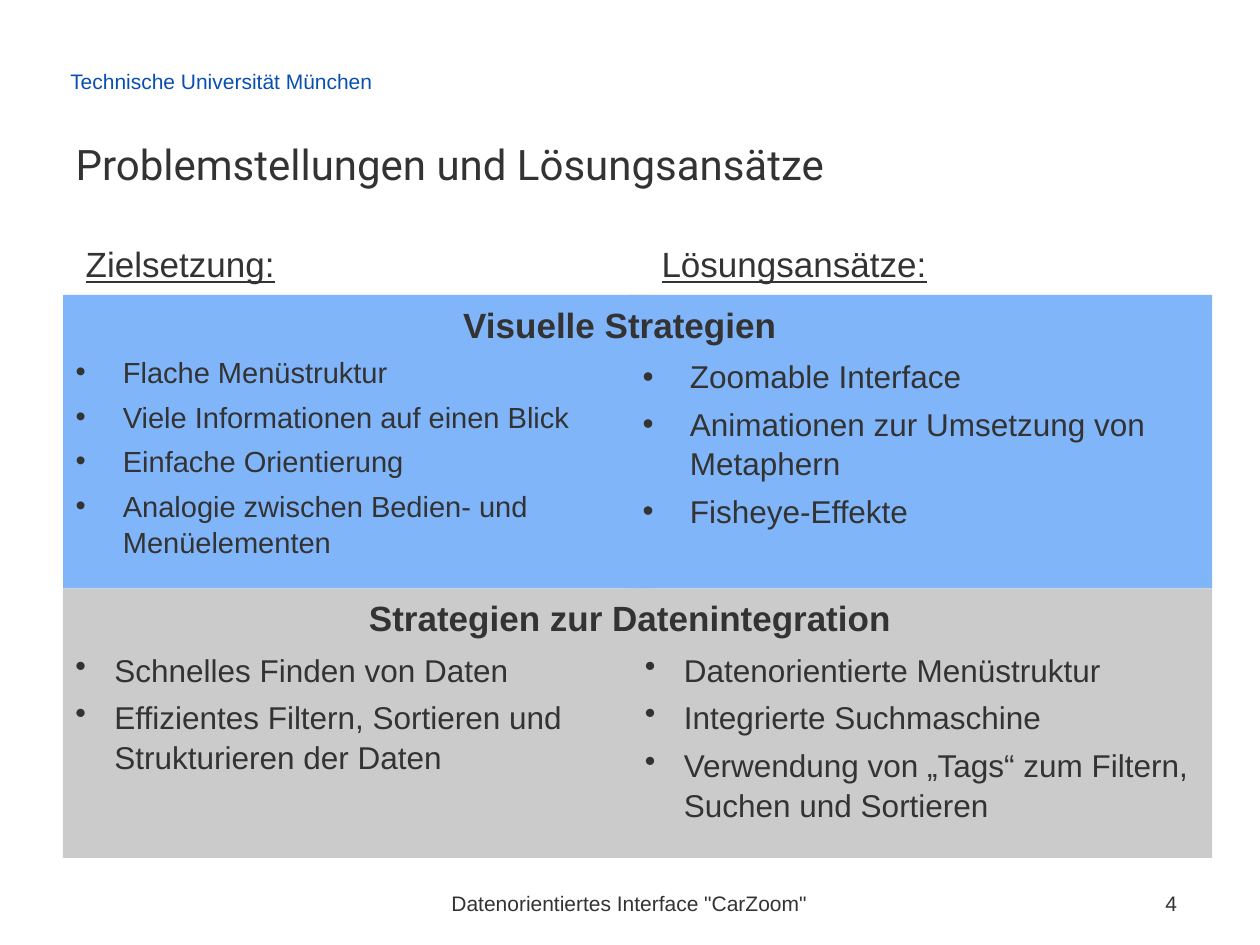
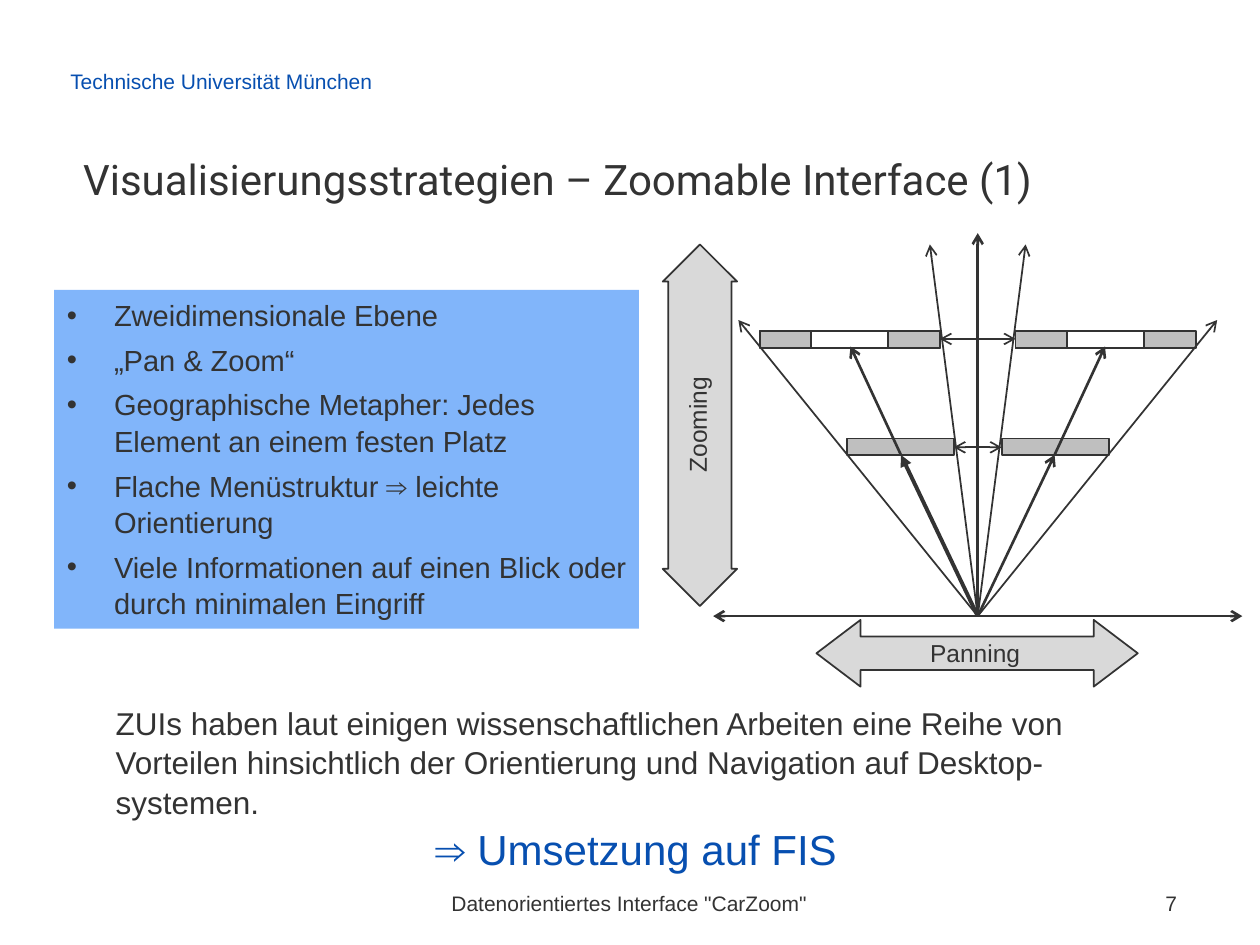
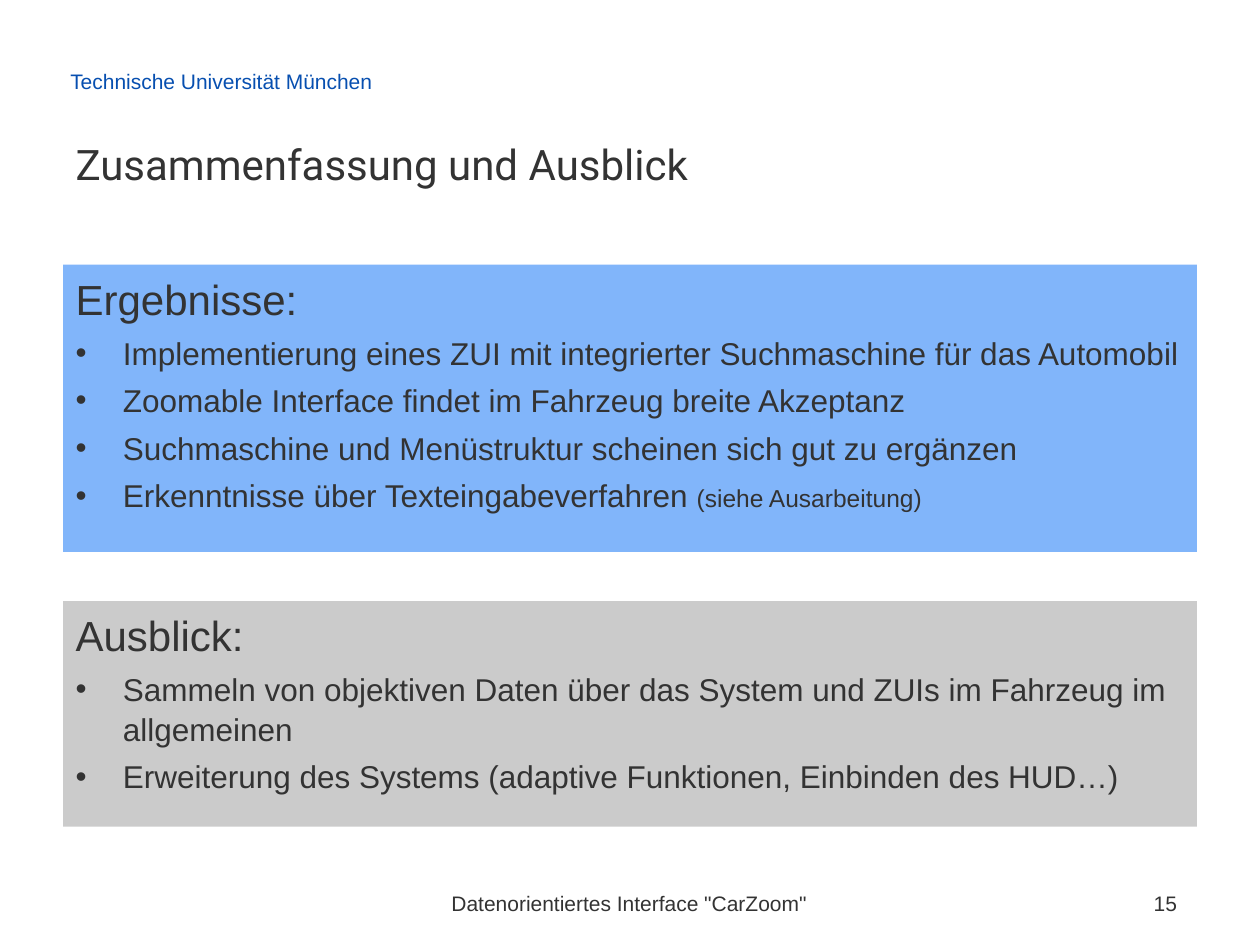
from lxml import etree
from pptx import Presentation
from pptx.dml.color import RGBColor
from pptx.enum.shapes import MSO_CONNECTOR, MSO_SHAPE
from pptx.enum.text import MSO_ANCHOR, MSO_AUTO_SIZE, PP_ALIGN
from pptx.oxml.ns import qn
from pptx.util import Inches, Pt

LEFT, CENTER, RIGHT = PP_ALIGN.LEFT, PP_ALIGN.CENTER, PP_ALIGN.RIGHT
TOP, MIDDLE, BOTTOM = MSO_ANCHOR.TOP, MSO_ANCHOR.MIDDLE, MSO_ANCHOR.BOTTOM
RECT, STRAIGHT = MSO_SHAPE.RECTANGLE, MSO_CONNECTOR.STRAIGHT
UP_DOWN, LEFT_RIGHT = MSO_SHAPE.UP_DOWN_ARROW, MSO_SHAPE.LEFT_RIGHT_ARROW
NO_FIT = MSO_AUTO_SIZE.NONE

INK, ACCENT = "333333", "074FB0"
BLUE, GREY, BAR, ARROW = "81B5FA", "CBCBCB", "BFBFBF", "D9D9D9"
rgb = RGBColor.from_string

prs = Presentation()
prs.slide_width, prs.slide_height = Inches(10), Inches(7.5)
U = prs.slide_width // 100  # the grid has 100 columns and 75 rows


def grid(*cells):
    return [round(c * U) for c in cells]


def write(sp, *paras, at, anchor=TOP, fill=None, wrap=True, inset=0.5, **fmt):
    """Place sp and fill it; a paragraph is a text, a list of (text, size) runs,
    or a (paragraph, format) pair."""
    sp.left, sp.top, sp.width, sp.height = grid(*at)
    if fill:
        sp.fill.solid()
        sp.fill.fore_color.rgb = rgb(fill)
    tf = sp.text_frame
    tf.auto_size, tf.word_wrap, tf.vertical_anchor = NO_FIT, wrap, anchor
    tf.margin_top = round(inset * U)
    for i, para in enumerate(paras):
        f = dict(size=18, color=INK, font="Arial", bold=False, underline=False,
                 align=LEFT, hang=0, before=0, spacing=1.05) | fmt
        if isinstance(para, tuple):
            para, f = para[0], f | para[1]
        p = tf.add_paragraph() if i else tf.paragraphs[0]
        p.alignment, p.line_spacing = f["align"], f["spacing"]
        p.space_before = Pt(f["before"] if i else 0)
        pPr = p._p.get_or_add_pPr()
        pPr.set("marL", str(round(f["hang"] * U)))
        pPr.set("indent", str(round(-f["hang"] * U)))
        if f["hang"]:
            etree.SubElement(pPr, qn("a:buChar"), char="•")
        else:
            etree.SubElement(pPr, qn("a:buNone"))
        for text, size in [(para, f["size"])] if isinstance(para, str) else para:
            r = p.add_run()
            r.text = text
            r.font.size, r.font.name = Pt(size), f["font"]
            r.font.bold, r.font.underline = f["bold"], f["underline"]
            r.font.color.rgb = rgb(f["color"])


# Slides with the shared title, header and footer
pages = [
    (4, "Problemstellungen und Lösungsansätze", (5, 3, 90, 12.5), "4"),
    (1, "Visualisierungsstrategien – Zoomable Interface (1)", (5.6, 10, 88.9, 6.7), "7"),
    (3, "Zusammenfassung und Ausblick", (5, 3, 90, 12.5), "15"),
]
for layout, title, at, number in pages:
    s = prs.slides.add_slide(prs.slide_layouts[layout])
    write(s.shapes.title, title, at=at, anchor=BOTTOM, size=24, font="Roboto", spacing=1)
    for text, at, fmt in [
        ("Technische Universität München", (4.6, 2.9, 26.7, 5), dict(anchor=BOTTOM, color=ACCENT)),
        ('Datenorientiertes Interface "CarZoom"', (28.3, 70, 43.3, 3.3), dict(anchor=MIDDLE, align=CENTER)),
        (number, (73.6, 70, 20.8, 3.3), dict(anchor=MIDDLE, align=RIGHT)),
    ]:
        write(s.shapes.add_textbox(0, 0, U, U), text, at=at, size=12, **fmt)
strategies, zooming, summary = prs.slides
LIST = dict(hang=3.75, before=4.5)

# Strategies: column headings
s = strategies
for idx, text, x in [(1, "Zielsetzung:", 5.8), (3, "Lösungsansätze:", 51.5)]:
    write(s.placeholders[idx], text, at=(x, 16.1, 44.2, 7), anchor=BOTTOM, size=20, underline=True)

# Strategies: two rows of lists with a heading across each
write(s.placeholders[2], "Flache Menüstruktur", "Viele Informationen auf einen Blick",
      "Einfache Orientierung", "Analogie zwischen Bedien- und Menüelementen",
      at=(5, 23.4, 46.5, 23.3), fill=BLUE, inset=4.6, size=16.6, **LIST)
write(s.placeholders[4], "Zoomable Interface", "Animationen zur Umsetzung von Metaphern",
      "Fisheye-Effekte", at=(50, 23.4, 46.2, 23.3), fill=BLUE, inset=4.8, **LIST)
data_lists = [
    (50.2, 46, ["Datenorientierte Menüstruktur", "Integrierte Suchmaschine",
                "Verwendung von „Tags“ zum Filtern, Suchen und Sortieren"]),
    (5, 45.6, ["Schnelles Finden von Daten",
               "Effizientes Filtern, Sortieren und Strukturieren der Daten"]),
]
for x, w, items in data_lists:
    write(s.shapes.add_textbox(0, 0, U, U), *items, at=(x, 46.7, w, 21.4),
          fill=GREY, inset=4.8, hang=3.1, before=4.5)
write(s.shapes.add_textbox(0, 0, U, U), "Visuelle Strategien", at=(35.7, 23.4, 26.9, 4.4),
      wrap=False, size=20, bold=True, align=RIGHT)
write(s.shapes.add_textbox(0, 0, U, U), "Strategien zur Datenintegration",
      at=(28.3, 46.7, 45.3, 4.4), size=20, bold=True)

# Zooming: list and conclusion
s = zooming
write(s.placeholders[1], "Zweidimensionale Ebene", "„Pan & Zoom“",
      "Geographische Metapher: Jedes Element an einem festen Platz",
      "Flache Menüstruktur ⇒ leichte Orientierung",
      "Viele Informationen auf einen Blick oder durch minimalen Eingriff",
      at=(4.3, 23, 46.4, 26.9), fill=BLUE, size=16.6, **LIST)
write(s.shapes.add_textbox(0, 0, U, U),
      "ZUIs haben laut einigen wissenschaftlichen Arbeiten eine Reihe von Vorteilen "
      "hinsichtlich der Orientierung und Navigation auf Desktop-systemen.",
      ("⇒ Umsetzung auf FIS", dict(size=24, color=ACCENT, align=CENTER)),
      at=(8.2, 55.2, 84.6, 14))

# Zooming: diagram, mirrored about the vertical axis
AXIS, BASE = 77.6, 48.9
UPPER, LOWER, BAR_H = 26.3, 34.8, 1.3
shapes = [
    (UP_DOWN, (52.6, 19.4, 5.9, 28.7), ARROW, 0.85),
    (LEFT_RIGHT, (64.8, 49.2, 25.5, 5.3), ARROW, 0.66),
]
lines = [
    ((AXIS, BASE), (AXIS, 18.5), 1.5, None, "arrow"),
    ((56.6, BASE), (98.6, BASE), 1.5, "arrow", "arrow"),
    ((AXIS - 3, UPPER + 0.6), (AXIS + 3, UPPER + 0.6), 1, "arrow", "arrow"),
    ((AXIS - 1.9, LOWER + 0.7), (AXIS + 1.9, LOWER + 0.7), 1, "arrow", "arrow"),
]
for side in (-1, 1):
    for start, width, y, fill in [(1.9, 8.5, LOWER, BAR), (3, 14.3, UPPER, None),
                                  (3, 4.1, UPPER, BAR), (13.2, 4.1, UPPER, BAR)]:
        x = AXIS + side * (start + width / 2) - width / 2
        shapes.append((RECT, (x, y, width, BAR_H), fill, None))
    near = (AXIS + side * 6.1, 36.1)
    lines += [
        ((AXIS, BASE), (AXIS + side * 19, 25.4), 1, None, "arrow"),
        ((AXIS, BASE), (AXIS + side * 3.8, 19.4), 1, None, "arrow"),
        (near, (AXIS + side * 10.1, 27.5), 1.5, None, "arrow"),
        ((AXIS, BASE), near, *((2.25, None, "triangle") if side < 0 else (1.5, None, "arrow"))),
    ]
for kind, at, fill, head in shapes:
    sp = s.shapes.add_shape(kind, *grid(*at))
    sp.shadow.inherit = False
    sp.line.color.rgb, sp.line.width = rgb(INK), Pt(1)
    if fill:
        sp.fill.solid()
        sp.fill.fore_color.rgb = rgb(fill)
    else:
        sp.fill.background()
    if head:
        sp.adjustments[0], sp.adjustments[1] = 0.5, head
for start, end, width, head, tail in lines:
    sp = s.shapes.add_connector(STRAIGHT, *grid(*start, *end))
    sp.line.color.rgb, sp.line.width = rgb(INK), Pt(width)
    ln = sp.line._get_or_add_ln()
    for tag, kind in [("a:headEnd", head), ("a:tailEnd", tail)]:
        if kind:
            etree.SubElement(ln, qn(tag), type=kind)
    etree.SubElement(sp._element.spPr, qn("a:effectLst"))
for text, at, turn in [("Zooming", (45.7, 32, 19.1, 3.4), 270), ("Panning", (72.6, 50, 9.6, 3.4), 0)]:
    sp = s.shapes.add_textbox(0, 0, U, U)
    write(sp, text, at=at, size=14, align=CENTER)
    sp.rotation = turn

# Summary: two panels
HEADING = dict(size=24, hang=0)
panels = [
    (1, 21, 22.8, BLUE, "Ergebnisse:", [
        "Implementierung eines ZUI mit integrierter Suchmaschine für das Automobil",
        "Zoomable Interface findet im Fahrzeug breite Akzeptanz",
        "Suchmaschine und Menüstruktur scheinen sich gut zu ergänzen",
        [("Erkenntnisse über Texteingabeverfahren ", 18), ("(siehe Ausarbeitung)", 14)]]),
    (2, 47.7, 17.9, GREY, "Ausblick:", [
        "Sammeln von objektiven Daten über das System und ZUIs im Fahrzeug im allgemeinen",
        "Erweiterung des Systems (adaptive Funktionen, Einbinden des HUD…)"]),
]
for idx, y, h, fill, heading, items in panels:
    write(summary.placeholders[idx], (heading, HEADING), *items, at=(5, y, 90, h), fill=fill, **LIST)

prs.save("out.pptx")
